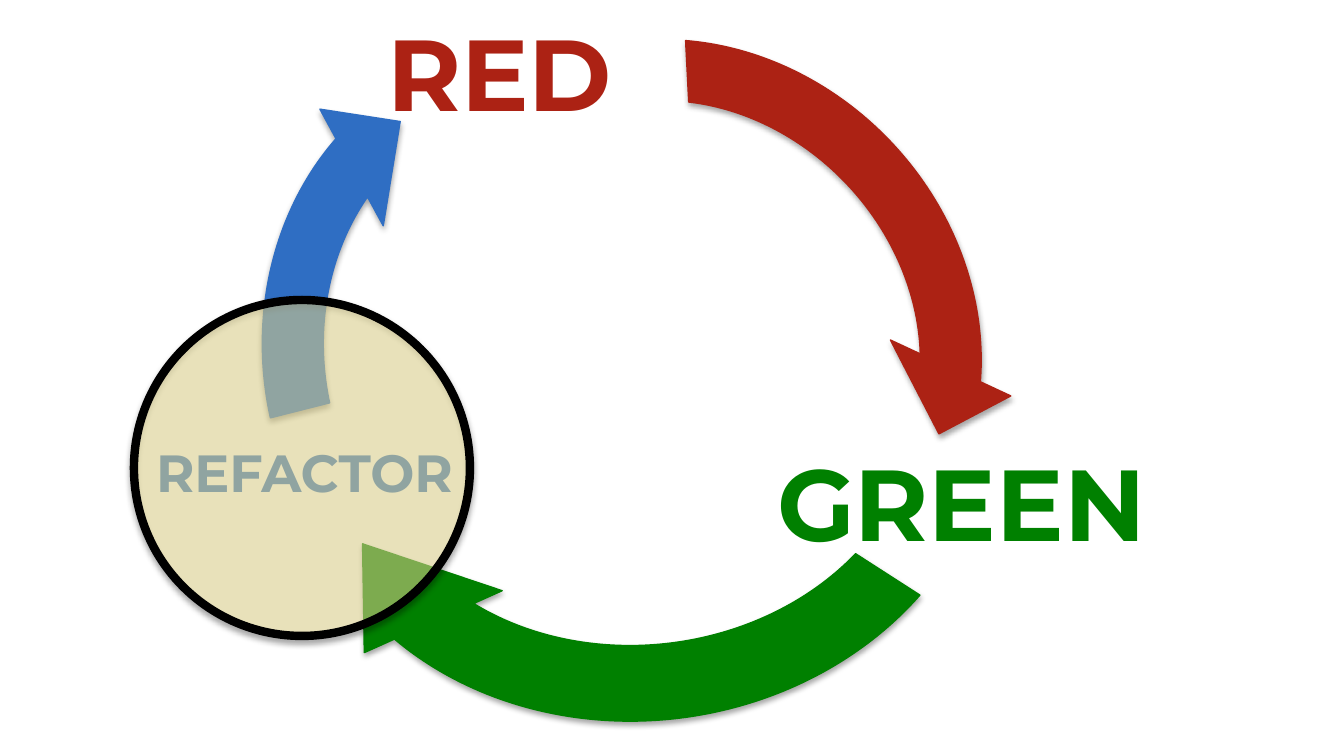
from lxml import etree
from pptx import Presentation
from pptx.dml.color import RGBColor
from pptx.enum.shapes import MSO_SHAPE
from pptx.enum.text import MSO_AUTO_SIZE, PP_ALIGN
from pptx.oxml.ns import qn
from pptx.util import Emu, Pt

ARROW, OVAL = MSO_SHAPE.CIRCULAR_ARROW, MSO_SHAPE.OVAL
CENTER, GROW = PP_ALIGN.CENTER, MSO_AUTO_SIZE.SHAPE_TO_FIT_TEXT
RED = RGBColor(0xAC, 0x22, 0x14)
GREEN = RGBColor(0x00, 0x80, 0x00)
BLUE = RGBColor(0x2F, 0x6E, 0xC3)
CREAM = RGBColor(0xFF, 0xF1, 0xA2)
BLACK = RGBColor(0x00, 0x00, 0x00)
FONT = "Montserrat"
EMU_PER_PX = 914400 / 134.4

# text, box, size, colour
LABELS = [
    ("RED", (370, 4, 259, 136), 54, RED),
    ("GREEN", (750, 434, 423, 136), 54, GREEN),
    ("REFACTOR", (134, 434, 341, 77), 28, BLUE),
]
# box, rotation, adjustments, colour
ARROWS = [
    ((364, 24, 672, 598), 46.6, (0.102, 8.828, 194.15, 132.282, 0.111), RED),
    ((255, 77, 778, 681), 172.3, (0.111, 11.946, 194.168, 132.282, 0.111), GREEN),
    ((190, 54, 672, 598), 263.2, (0.102, 8.828, 194.15, 157.538, 0.111), BLUE),
]


def px(*values):
    """Turn pixels into EMU lengths."""
    return [Emu(round(v * EMU_PER_PX)) for v in values]


def add_child(parent, tag, **attrs):
    """Append a DrawingML element with the given attributes."""
    child = etree.SubElement(parent, qn("a:" + tag))
    for name, value in attrs.items():
        child.set(name, str(value))
    return child


def add_label(s, text, box, size, color):
    """Add a bold, outlined, centred word."""
    tf = s.shapes.add_textbox(*px(*box)).text_frame
    tf.word_wrap = False
    tf.auto_size = GROW
    tf.text = text
    p = tf.paragraphs[0]
    p.alignment = CENTER
    font = p.runs[0].font
    font.name, font.size, font.bold = FONT, Pt(size), True
    font.color.rgb = color
    rpr = p.runs[0]._r.get_or_add_rPr()
    outline = add_child(rpr, "ln", w=Pt(1))
    add_child(add_child(outline, "solidFill"), "srgbClr", val=color)
    rpr.insert(0, outline)


def add_shadow(sp):
    """Give a shape a soft shadow straight below it."""
    sp.shadow.inherit = False
    effects = sp._element.spPr.find(qn("a:effectLst"))
    shadow = add_child(effects, "outerShdw", blurRad=Pt(3.1), dist=Pt(1.8),
                       dir=90 * 60000, rotWithShape=0)
    add_child(add_child(shadow, "srgbClr", val=BLACK), "alpha", val=35000)


def add_figure(s, kind, box, fill, line, width):
    """Add a filled and outlined preset shape with a shadow."""
    sp = s.shapes.add_shape(kind, *px(*box))
    sp.fill.solid()
    sp.fill.fore_color.rgb = fill
    sp.line.color.rgb = line
    sp.line.width = Pt(width)
    add_shadow(sp)
    return sp


def add_arrow(s, box, rotation, adjustments, color):
    """Add a rotated circular arrow."""
    sp = add_figure(s, ARROW, box, color, color, 0.75)
    sp.rotation = rotation
    for i, value in enumerate(adjustments):
        sp.adjustments[i] = value


def add_highlight(s, box):
    """Add the translucent circle that marks the current step."""
    sp = add_figure(s, OVAL, box, CREAM, BLACK, 4.5)
    color = sp._element.spPr.find(qn("a:solidFill")).find(qn("a:srgbClr"))
    add_child(color, "alpha", val=49000)


def main():
    """Build the test cycle slide."""
    prs = Presentation()
    prs.slide_width, prs.slide_height = px(1344, 756)
    s = prs.slides.add_slide(prs.slide_layouts[6])
    for label in LABELS:
        add_label(s, *label)
    for arrow in ARROWS:
        add_arrow(s, *arrow)
    add_highlight(s, (134, 300, 336, 336))
    prs.save("out.pptx")


main()
